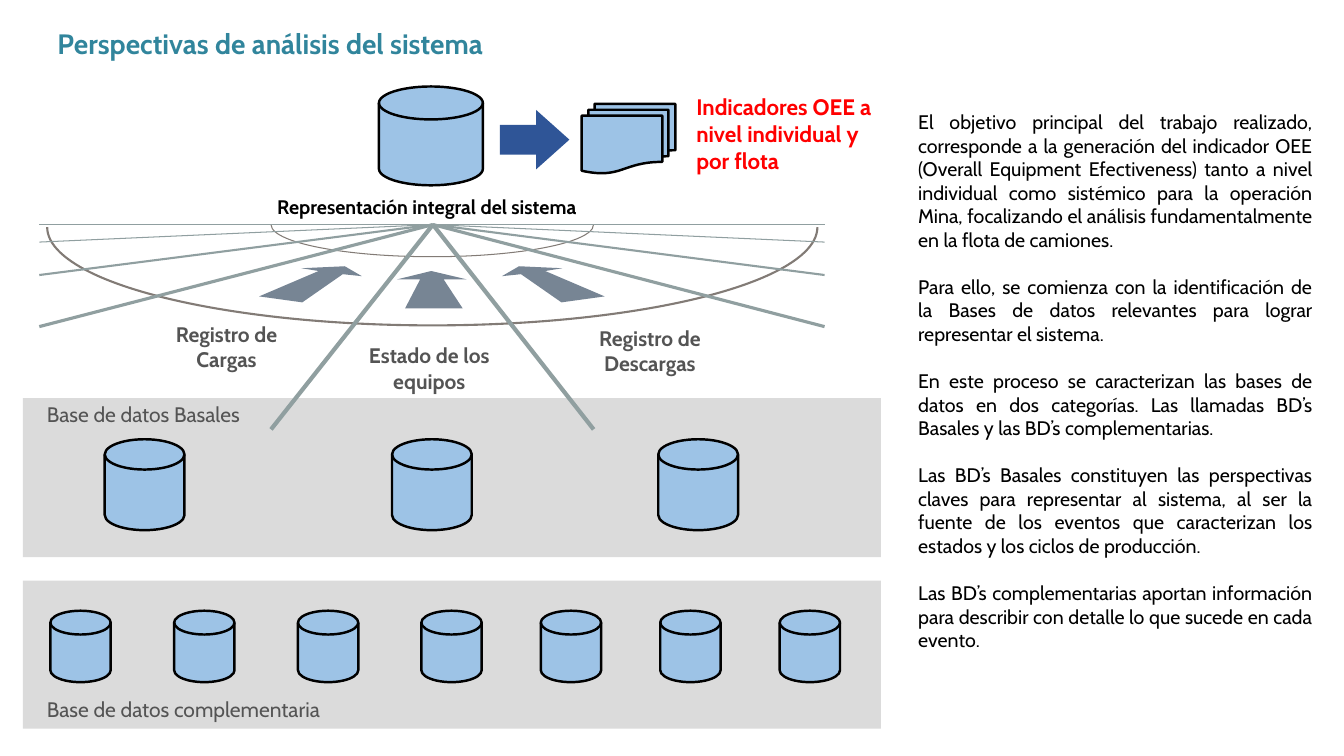
from dataclasses import dataclass
from typing import NamedTuple

from lxml import etree
from pptx import Presentation
from pptx.dml.color import RGBColor
from pptx.enum import shapes, text
from pptx.oxml import ns
from pptx.util import Cm, Pt

KIND = shapes.MSO_SHAPE
ALIGN = text.PP_ALIGN


@dataclass(frozen=True)
class Theme:
    font: str = "Cabin"
    panel: str = "DBDBDB"
    disk: str = "9DC3E6"
    edge: str = "000000"
    arc: str = "827B76"
    ray: str = "909FA0"
    wedge: str = "778594"
    arrow: str = "2F5597"
    title: str = "31859C"
    label: str = "545454"
    alert: str = "FF0000"
    ink: str = "000000"
    head: float = 20
    big: float = 16
    mid: float = 15
    body: float = 14
    gap: float = 16.9
    stroke: float = 1.75


class Box(NamedTuple):
    x: float
    y: float
    w: float
    h: float


class Point(NamedTuple):
    x: float
    y: float


class Ray(NamedTuple):
    start: Point
    end: Point
    width: float


class Label(NamedTuple):
    words: str
    box: Box


LOOK = Theme()
APEX = Point(10.91, 5.66)
LEFT, RIGHT = 0.99, 20.78

PANELS = [Box(0.58, 10.03, 21.62, 4.01), Box(0.58, 14.63, 21.62, 3.73)]
ARCS = [(Box(1.19, 3.25, 19.41, 4.95), 1.5), (Box(6.83, 4.85, 8.13, 1.62), 0.75)]
RAYS = [Ray(Point(LEFT, APEX.y), Point(RIGHT, APEX.y), 0.5)]
RAYS += [Ray(APEX, Point(x, 10.82), 3) for x in (6.83, 14.96)]
RAYS += [
    Ray(APEX, Point(x, y), width)
    for y, width in ((8.23, 2.25), (6.93, 1.5), (6.1, 0.75))
    for x in (LEFT, RIGHT)
]

MID = [
    Point(10.21, 7.77), Point(11.66, 7.77), Point(11.18, 7.04), Point(11.76, 7.04),
    Point(10.87, 6.83), Point(10.01, 7.04), Point(10.59, 7.04),
]
EAST = [
    Point(14.15, 7.62), Point(15.24, 7.47), Point(13.74, 6.83), Point(14.17, 6.76),
    Point(13.08, 6.71), Point(12.65, 6.96), Point(13.13, 6.91),
]
WEST = [Point(21.77 - p.x, p.y) for p in EAST]

DISKS = [Box(9.55, 2.18, 2.62, 2.49)]
DISKS += [Box(x, 11.07, 2.01, 2.29) for x in (2.64, 9.88, 16.59)]
DISKS += [Box(1.27 + 3.12 * i, 15.39, 1.52, 1.8) for i in range(3)]
DISKS += [Box(10.62 + 3.01 * i, 15.39, 1.52, 1.8) for i in range(4)]

VIEWS = [
    Label("Registro de Cargas", Box(4.01, 8.1, 3.4, 1.27)),
    Label("Estado de los equipos", Box(9.12, 8.64, 3.4, 1.27)),
    Label("Registro de Descargas", Box(14.68, 8.2, 3.4, 1.27)),
]
BASES = [
    Label("Base de datos Basales", Box(1.18, 10.13, 7.92, 0.64)),
    Label("Base de datos complementaria", Box(1.18, 17.55, 7.92, 0.64)),
]
BODY = [
    "El objetivo principal del trabajo realizado, corresponde a la generación del indicador OEE (Overall Equipment Efectiveness) tanto a nivel individual como sistémico para la operación Mina, focalizando el análisis fundamentalmente en la flota de camiones.",
    "Para ello, se comienza con la identificación de la Bases de datos relevantes para lograr representar el sistema.",
    "En este proceso se caracterizan las bases de datos en dos categorías. Las llamadas BD’s Basales y las BD’s complementarias.",
    "Las BD’s Basales constituyen las perspectivas claves para representar al sistema, al ser la fuente de los eventos que caracterizan los estados y los ciclos de producción.",
    "Las BD’s complementarias aportan información para describir con detalle lo que sucede en cada evento.",
]


def paint(item, fill: str | None, line: str | None = None, width: float = 0) -> None:
    item.shadow.inherit = False
    if fill:
        item.fill.solid()
        item.fill.fore_color.rgb = RGBColor.from_string(fill)
    else:
        item.fill.background()
    if line:
        item.line.color.rgb = RGBColor.from_string(line)
        item.line.width = Pt(width)
    else:
        item.line.fill.background()


def add(slide, kind, box: Box, fill: str | None, line: str | None = None, width: float = 0):
    item = slide.shapes.add_shape(kind, *map(Cm, box))
    paint(item, fill, line, width)
    return item


def add_arc(slide, box: Box, width: float) -> None:
    item = add(slide, KIND.ARC, box, None, LOOK.arc, width)
    item.adjustments[0] = 0
    item.adjustments[1] = 108


def add_ray(slide, ray: Ray) -> None:
    item = slide.shapes.add_connector(
        shapes.MSO_CONNECTOR.STRAIGHT, *map(Cm, ray.start + ray.end)
    )
    item.line.color.rgb = RGBColor.from_string(LOOK.ray)
    item.line.width = Pt(ray.width)
    etree.SubElement(item._element.spPr, ns.qn("a:effectLst"))


def add_wedge(slide, points: list[Point]) -> None:
    dots = [(Cm(p.x), Cm(p.y)) for p in points]
    pen = slide.shapes.build_freeform(*dots[0])
    pen.add_line_segments(dots[1:], close=True)
    paint(pen.convert_to_shape(), LOOK.wedge)


def write(slide, words: str | list[str], box: Box, *, size: float, color: str,
          bold: bool = False, align=ALIGN.LEFT, inset: float = 0, wrap: bool = True) -> None:
    frame = slide.shapes.add_textbox(*map(Cm, box)).text_frame
    frame.word_wrap = wrap
    frame.margin_left = frame.margin_top = frame.margin_bottom = Cm(0)
    frame.margin_right = Cm(inset)
    lines = [words] if isinstance(words, str) else words
    for i, line in enumerate(lines):
        para = frame.add_paragraph() if i else frame.paragraphs[0]
        para.alignment = align
        if i:
            para.space_before = Pt(LOOK.gap)
        run = para.add_run()
        run.text = line
        run.font.name = LOOK.font
        run.font.size = Pt(size)
        run.font.bold = bold
        run.font.color.rgb = RGBColor.from_string(color)


def main() -> None:
    deck = Presentation()
    deck.slide_width, deck.slide_height = Cm(33.87), Cm(19.05)
    slide = deck.slides.add_slide(deck.slide_layouts[6])

    for box in PANELS:
        add(slide, KIND.RECTANGLE, box, LOOK.panel)
    for box, width in ARCS:
        add_arc(slide, box, width)
    for ray in RAYS:
        add_ray(slide, ray)
    for wedge in (WEST, MID, EAST):
        add_wedge(slide, wedge)
    for box in DISKS:
        add(slide, KIND.FLOWCHART_MAGNETIC_DISK, box, LOOK.disk, LOOK.edge, LOOK.stroke)
    add(slide, KIND.FLOWCHART_MULTIDOCUMENT, Box(14.66, 2.62, 2.36, 1.75),
        LOOK.disk, LOOK.edge, LOOK.stroke)
    arrow = add(slide, KIND.RIGHT_ARROW, Box(12.6, 2.77, 1.75, 1.5), LOOK.arrow)
    arrow.adjustments[1] = 0.56

    write(slide, "Perspectivas de análisis del sistema", Box(1.45, 0.66, 12.24, 1.07),
          size=LOOK.head, color=LOOK.title, bold=True, inset=0.25, wrap=False)
    write(slide, "Representación integral del sistema", Box(6.3, 4.9, 9.17, 0.61),
          size=LOOK.body, color=LOOK.ink, bold=True, align=ALIGN.CENTER, inset=0.25)
    write(slide, "Indicadores OEE a nivel individual y por flota", Box(17.55, 2.36, 5.05, 2.06),
          size=LOOK.big, color=LOOK.alert, bold=True, inset=0.25)
    for view in VIEWS:
        write(slide, view.words, view.box, size=LOOK.mid, color=LOOK.label,
              bold=True, align=ALIGN.CENTER)
    for base in BASES:
        write(slide, base.words, base.box, size=LOOK.mid, color=LOOK.label)
    write(slide, BODY, Box(23.14, 2.77, 10.19, 13.77), size=LOOK.body,
          color=LOOK.ink, align=ALIGN.JUSTIFY, inset=0.25)

    deck.save("out.pptx")


if __name__ == "__main__":
    main()
